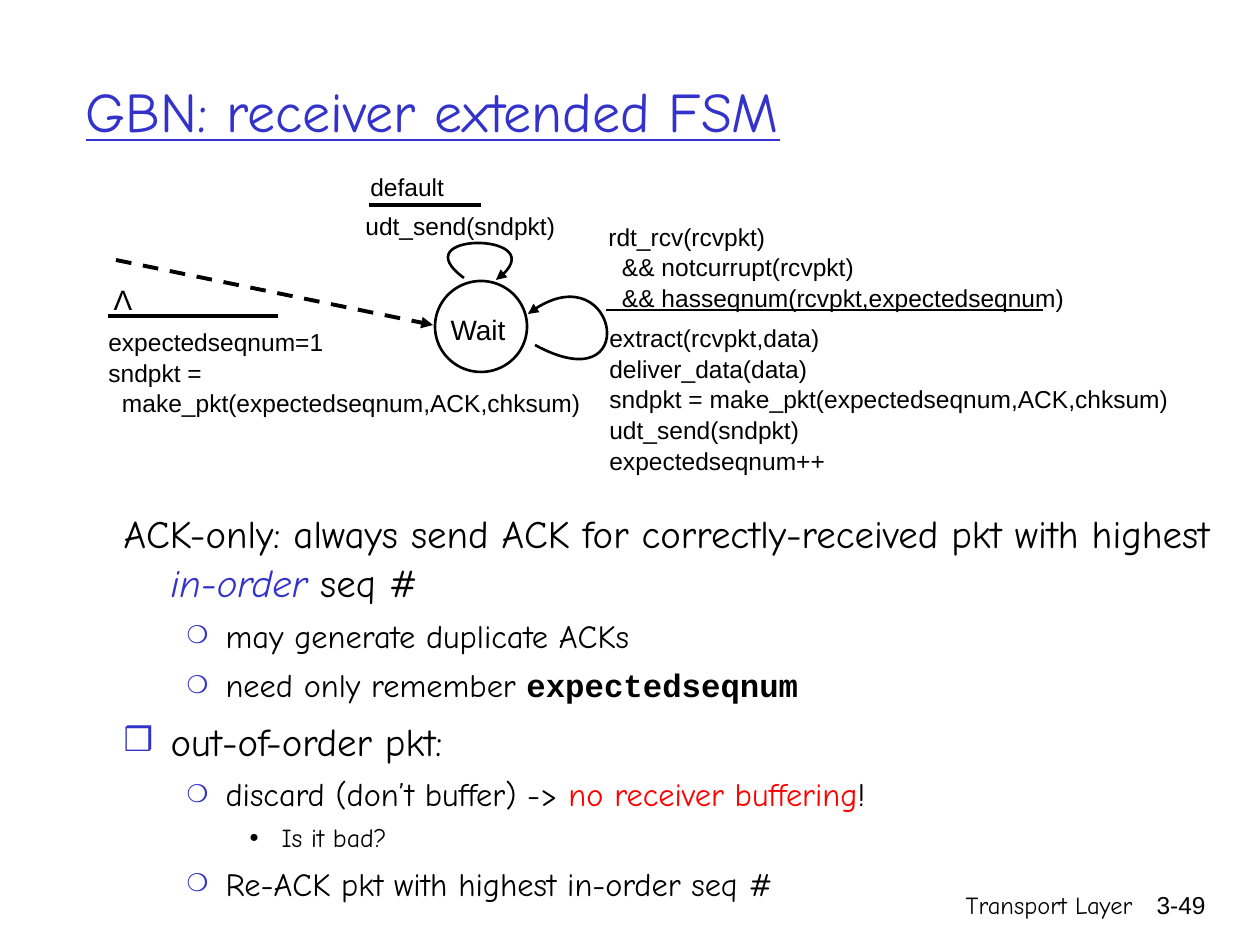
from dataclasses import dataclass

from lxml import etree
from pptx import Presentation
from pptx import util as u
from pptx.dml.color import RGBColor
from pptx.enum import dml, shapes, text
from pptx.oxml.ns import qn

PX = u.Inches(10) / 1260
BLACK = RGBColor(0, 0, 0)
WHITE = RGBColor(255, 255, 255)
BLUE = RGBColor(0x33, 0x33, 0xCC)
RED = RGBColor(255, 0, 0)
SANS, HAND, MONO = "Arial", "Comic Neue", "Courier New"
LEFT, CENTER, RIGHT = text.PP_ALIGN.LEFT, text.PP_ALIGN.CENTER, text.PP_ALIGN.RIGHT
LINE_SPACING = 1.05


@dataclass
class Label:
    lines: list[str]
    area: tuple[int, int, int, int]
    size: int = 14
    align: text.PP_ALIGN = LEFT
    face: str = SANS
    wrap: bool = True


@dataclass
class Rule:
    start: tuple[int, int]
    end: tuple[int, int]
    width: float = 2.25
    arrow: bool = False


@dataclass
class Level:
    size: float
    before: int
    margin: int
    hanging: int
    bullet: str
    bullet_size: int
    bullet_color: RGBColor


@dataclass
class Item:
    level: int
    spans: list[tuple[str, dict]]
    bulleted: bool = True


LEVELS = [
    Level(22.2, 6, 47, 47, "❒", 85, BLUE),
    Level(18.5, 5, 102, 39, "❍", 75, BLUE),
    Level(14.8, 4, 158, 32, "•", 100, BLACK),
]

ITEMS = [
    Item(0, [("ACK-only: always send ACK for correctly-received pkt with highest ", {}),
             ("in-order", {"color": BLUE, "italic": True}), (" seq #", {})], bulleted=False),
    Item(1, [("may generate duplicate ACKs", {})]),
    Item(1, [("need only remember ", {}), ("expectedseqnum", {"name": MONO, "bold": True})]),
    Item(0, [("out-of-order pkt:", {})]),
    Item(1, [("discard (don’t buffer) -> ", {}),
             ("no receiver buffering", {"color": RED}), ("!", {})]),
    Item(2, [("Is it bad?", {})]),
    Item(1, [("Re-ACK pkt with highest in-order seq #", {})]),
]

LABELS = [
    Label(["Transport Layer"], (746, 882, 399, 63), align=RIGHT, face=HAND),
    Label(["3-49"], (1125, 882, 93, 63), align=RIGHT),
    Label(["Wait"], (423, 305, 110, 33), size=16, align=CENTER),
    Label(["udt_send(sndpkt)"], (353, 203, 223, 43)),
    Label(["default"], (358, 164, 100, 34)),
    Label(["rdt_rcv(rcvpkt)", "  && notcurrupt(rcvpkt)",
           "  && hasseqnum(rcvpkt,expectedseqnum)"], (596, 214, 491, 78)),
    Label(["extract(rcvpkt,data)", "deliver_data(data)",
           "sndpkt = make_pkt(expectedseqnum,ACK,chksum)",
           "udt_send(sndpkt)", "expectedseqnum++"], (597, 315, 595, 118)),
    Label(["expectedseqnum=1", "sndpkt =",
           "  make_pkt(expectedseqnum,ACK,chksum)"], (96, 319, 501, 135)),
    Label(["Λ"], (101, 275, 44, 47), size=16, align=CENTER, wrap=False),
]

RULES = [
    Rule((116, 260), (433, 325), arrow=True),
    Rule((369, 205), (481, 205)),
    Rule((606, 310), (1043, 310), width=1.5),
    Rule((108, 316), (278, 316)),
]

# Start, two control points and end of each self-transition
LOOPS = [
    [(535, 345), (643, 404), (617, 246), (528, 314)],
    [(464, 278), (401, 232), (561, 232), (496, 280)],
]


def px(value: float) -> int:
    return u.Emu(round(value * PX))


def apply(target, values: dict) -> None:
    for name, value in values.items():
        setattr(target, name, value)


def add_span(para, words: str, **values) -> None:
    span = para.add_run()
    span.text = words
    span.font.color.rgb = values.pop("color", BLACK)
    apply(span.font, values)


def place(shape, area: tuple[int, int, int, int]) -> None:
    apply(shape, dict(zip(("left", "top", "width", "height"), map(px, area))))


def add_label(page, label: Label) -> None:
    frame = page.shapes.add_textbox(*map(px, label.area)).text_frame
    frame.word_wrap = label.wrap
    for index, words in enumerate(label.lines):
        para = frame.add_paragraph() if index else frame.paragraphs[0]
        apply(para, {"alignment": label.align, "line_spacing": LINE_SPACING})
        add_span(para, words, size=u.Pt(label.size), name=label.face)


def finish_line(shape, width: float, arrow: bool) -> None:
    shape.line.color.rgb = BLACK
    shape.line.width = u.Pt(width)
    if arrow:
        etree.SubElement(shape.line._get_or_add_ln(), qn("a:tailEnd"), type="triangle")


def add_rule(page, rule: Rule) -> None:
    line = page.shapes.add_connector(
        shapes.MSO_CONNECTOR.STRAIGHT, *map(px, rule.start + rule.end))
    if rule.arrow:
        line.line.dash_style = dml.MSO_LINE.DASH
    finish_line(line, rule.width, rule.arrow)
    etree.SubElement(line._element.spPr, qn("a:effectLst"))


def add_loop(page, points: list[tuple[int, int]]) -> None:
    builder = page.shapes.build_freeform(*points[0], scale=PX)
    builder.add_line_segments(points[1:], close=False)
    loop = builder.convert_to_shape()
    # Turn the three segments into one Bezier curve
    outline = loop._element.find(".//" + qn("a:path"))
    curve = etree.Element(qn("a:cubicBezTo"))
    for segment in outline.findall(qn("a:lnTo")):
        curve.append(segment[0])
        outline.remove(segment)
    outline.append(curve)
    loop.fill.background()
    loop.shadow.inherit = False
    finish_line(loop, 1.5, True)


def add_bullet(para, level: Level, bulleted: bool) -> None:
    props = para._p.get_or_add_pPr()
    props.set("marL", str(px(level.margin)))
    props.set("indent", str(-px(level.hanging)))
    if not bulleted:
        etree.SubElement(props, qn("a:buNone"))
        return
    color = etree.SubElement(props, qn("a:buClr"))
    etree.SubElement(color, qn("a:srgbClr"), val=str(level.bullet_color))
    etree.SubElement(props, qn("a:buSzPct"), val=str(level.bullet_size * 1000))
    etree.SubElement(props, qn("a:buChar"), char=level.bullet)


def fill_body(body, items: list[Item]) -> None:
    frame = body.text_frame
    apply(frame, {"word_wrap": True, "auto_size": text.MSO_AUTO_SIZE.NONE})
    for index, item in enumerate(items):
        level = LEVELS[item.level]
        para = frame.add_paragraph() if index else frame.paragraphs[0]
        add_bullet(para, level, item.bulleted)
        apply(para, {"level": item.level, "alignment": LEFT, "line_spacing": LINE_SPACING,
                     "space_before": u.Pt(level.before if index else 0)})
        for words, values in item.spans:
            add_span(para, words, **{"size": u.Pt(level.size), "name": HAND, **values})


def main() -> None:
    deck = Presentation()
    apply(deck, {"slide_width": px(1260), "slide_height": px(945)})
    page = deck.slides.add_slide(deck.slide_layouts[1])

    # Title and list
    title, body = page.placeholders
    place(title, (73, 32, 1071, 157))
    apply(title.text_frame, {"vertical_anchor": text.MSO_ANCHOR.MIDDLE, "word_wrap": True,
                             "auto_size": text.MSO_AUTO_SIZE.NONE})
    heading = title.text_frame.paragraphs[0]
    heading.alignment = LEFT
    add_span(heading, "GBN: receiver extended FSM",
             size=u.Pt(32), name=HAND, color=BLUE, underline=True)
    place(body, (111, 501, 1123, 393))
    fill_body(body, ITEMS)

    # Wait state
    state = page.shapes.add_shape(shapes.MSO_SHAPE.OVAL, *map(px, (435, 281, 92, 91)))
    state.shadow.inherit = False
    state.fill.solid()
    state.fill.fore_color.rgb = WHITE
    finish_line(state, 1.5, False)

    # Transitions and their labels
    for rule in RULES:
        add_rule(page, rule)
    for loop in LOOPS:
        add_loop(page, loop)
    for label in LABELS:
        add_label(page, label)

    deck.save("out.pptx")


if __name__ == "__main__":
    main()
